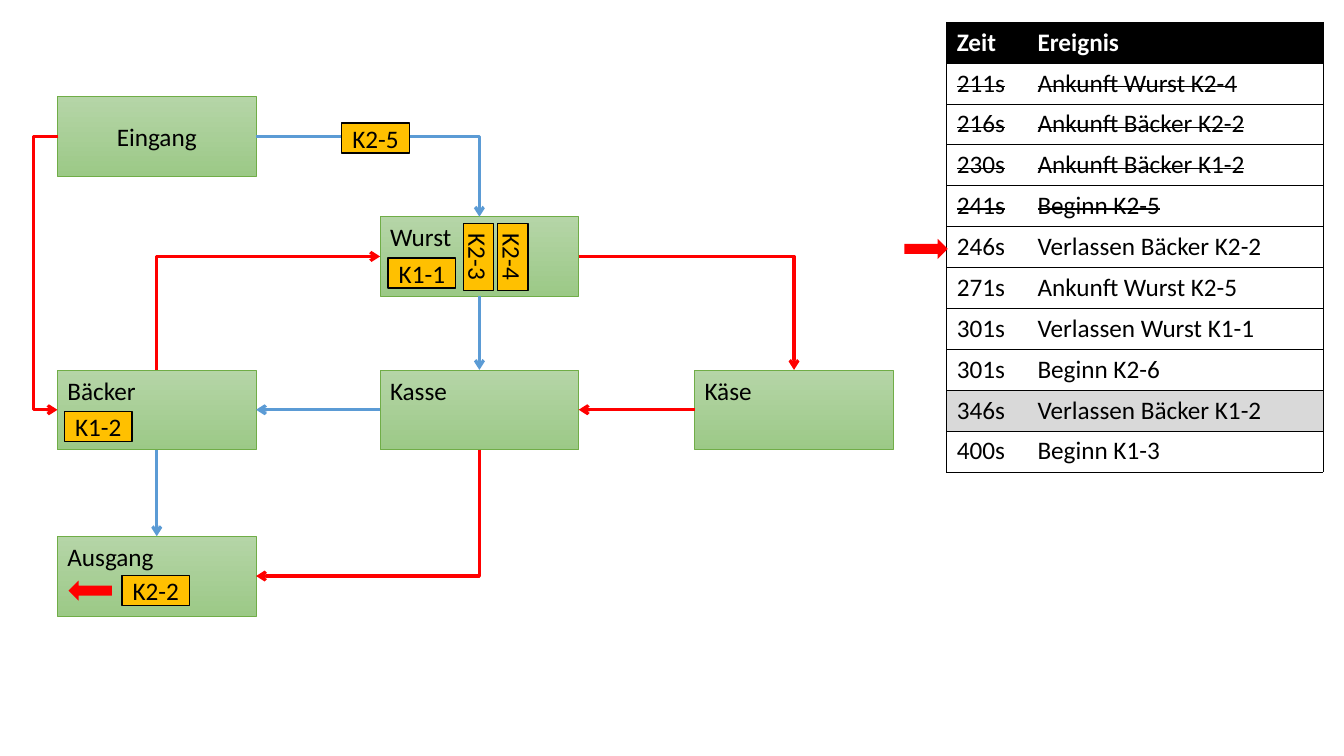
from dataclasses import dataclass

from lxml.etree import SubElement
from pptx import Presentation
from pptx.dml.color import RGBColor
from pptx.enum.shapes import MSO_CONNECTOR, MSO_SHAPE
from pptx.enum.text import MSO_ANCHOR, PP_ALIGN
from pptx.oxml import parse_xml
from pptx.oxml.ns import nsdecls, qn
from pptx.util import Inches, Pt

BLACK, WHITE, GREY = "000000", "FFFFFF", "D9D9D9"
RED, BLUE, AMBER, GREEN = "FF0000", "5B9BD5", "FFC000", "70AD47"
GREEN_FADE = ("B5D5A7", "9CC987")

COLUMNS = (0.57, 3.77, 6.89)
ROWS = (0.96, 2.15, 3.67, 5.32)
STATION_W, STATION_H = 1.97, 0.79
TAG_W, TAG_H = 0.67, 0.3
ARROW_W, ARROW_H = 0.43, 0.2
TABLE_LEFT, TABLE_TOP, ROW_H = 9.39, 0.22, 0.405
TABLE_COLUMNS = (0.8, 2.93)
TOP, LEFT, BOTTOM, RIGHT = range(4)  # connection sites of a rectangle


@dataclass(frozen=True)
class Station:
    """A stop in the shop, placed by column and row."""
    name: str
    column: int
    row: int
    centred: bool = False

    @property
    def corner(self) -> tuple[float, float]:
        """Top left corner in inches."""
        return COLUMNS[self.column], ROWS[self.row]

    def site(self, side: int) -> tuple[float, float]:
        """Middle of one side in inches."""
        x, y = self.corner
        across, down = ((0.5, 0), (0, 0.5), (0.5, 1), (1, 0.5))[side]
        return x + across * STATION_W, y + down * STATION_H


@dataclass(frozen=True)
class Route:
    """A way from one station side to another."""
    start: str
    start_side: int
    end: str
    end_side: int
    color: str
    bend: str = ""
    turn: int = 0


@dataclass(frozen=True)
class Customer:
    """A customer tag, offset from the corner of its station."""
    name: str
    station: str
    dx: float
    dy: float
    turn: int = 0


@dataclass(frozen=True)
class Event:
    """One row of the event list."""
    time: str
    text: str
    done: bool = False
    fill: str = WHITE


STATIONS = {s.name: s for s in (
    Station("Bäcker", 0, 2), Station("Eingang", 0, 0, True),
    Station("Wurst", 1, 1), Station("Käse", 2, 2),
    Station("Kasse", 1, 2), Station("Ausgang", 0, 3))}
ROUTES = (
    Route("Eingang", RIGHT, "Wurst", TOP, BLUE, "bentConnector2"),
    Route("Wurst", BOTTOM, "Kasse", TOP, BLUE),
    Route("Wurst", RIGHT, "Käse", TOP, RED, "bentConnector2"),
    Route("Käse", LEFT, "Kasse", RIGHT, RED),
    Route("Kasse", LEFT, "Bäcker", RIGHT, BLUE),
    Route("Bäcker", BOTTOM, "Ausgang", TOP, BLUE),
    Route("Bäcker", TOP, "Wurst", LEFT, RED, "bentConnector2", 90),
    Route("Eingang", LEFT, "Bäcker", LEFT, RED, "bentConnector3", 180),
    Route("Kasse", BOTTOM, "Ausgang", RIGHT, RED, "bentConnector2", 90))
CUSTOMERS = (
    Customer("K1-1", "Wurst", 0.08, 0.41), Customer("K2-2", "Ausgang", 0.64, 0.39),
    Customer("K2-3", "Wurst", 0.64, 0.25, 90), Customer("K2-4", "Wurst", 0.98, 0.25, 90),
    Customer("K1-2", "Bäcker", 0.07, 0.41), Customer("K2-5", "Eingang", 2.82, 0.26))
EVENTS = (
    Event("211s", "Ankunft Wurst K2-4", True), Event("216s", "Ankunft Bäcker K2-2", True),
    Event("230s", "Ankunft Bäcker K1-2", True), Event("241s", "Beginn K2-5", True),
    Event("246s", "Verlassen Bäcker K2-2"), Event("271s", "Ankunft Wurst K2-5"),
    Event("301s", "Verlassen Wurst K1-1"), Event("301s", "Beginn K2-6"),
    Event("346s", "Verlassen Bäcker K1-2", fill=GREY), Event("400s", "Beginn K1-3"))


def rgb(color: str) -> RGBColor:
    """Turn a hex string into a colour."""
    return RGBColor.from_string(color)


def write(frame, text: str, color: str = BLACK, bold: bool = False, struck: bool = False) -> None:
    """Add one run of text to a frame."""
    run = frame.paragraphs[0].add_run()
    run.text = text
    run.font.name, run.font.size, run.font.bold = "Calibri", Pt(18), bold
    run.font.color.rgb = rgb(color)
    if struck:
        run.font._element.set("strike", "sngStrike")


def add_block(slide, kind, x: float, y: float, w: float, h: float,
              fill: str, line: str = "", weight: float = 1):
    """Add a plain preset shape."""
    block = slide.shapes.add_shape(kind, Inches(x), Inches(y), Inches(w), Inches(h))
    block.shadow.inherit = False
    block.fill.solid()
    block.fill.fore_color.rgb = rgb(fill)
    if line:
        block.line.color.rgb, block.line.width = rgb(line), Pt(weight)
    else:
        block.line.fill.background()
    return block


def add_station(slide, station: Station):
    """Add a green station box with its name."""
    box = add_block(slide, MSO_SHAPE.RECTANGLE, *station.corner,
                    STATION_W, STATION_H, GREEN_FADE[0], GREEN, 0.5)
    box.fill.gradient()
    box.fill.gradient_angle = 270
    for stop, color in zip(box.fill.gradient_stops, GREEN_FADE):
        stop.color.rgb = rgb(color)
    frame = box.text_frame
    frame.vertical_anchor = MSO_ANCHOR.MIDDLE if station.centred else MSO_ANCHOR.TOP
    frame.paragraphs[0].alignment = PP_ALIGN.CENTER if station.centred else PP_ALIGN.LEFT
    write(frame, station.name)
    return box


def add_route(slide, route: Route, boxes: dict) -> None:
    """Add a glued arrow between two stations."""
    x1, y1 = STATIONS[route.start].site(route.start_side)
    x2, y2 = STATIONS[route.end].site(route.end_side)
    if route.bend == "bentConnector3":
        x1 += 0.01  # the detour is measured as a multiple of this width
    dx, dy = x2 - x1, y2 - y1
    across, down = {0: (dx, dy), 90: (dy, -dx), 180: (-dx, -dy)}[route.turn]
    mid_x, mid_y = (x1 + x2) / 2, (y1 + y2) / 2
    kind = MSO_CONNECTOR.ELBOW if route.bend else MSO_CONNECTOR.STRAIGHT
    arrow = slide.shapes.add_connector(kind, 0, 0, 0, 0)
    arrow.begin_connect(boxes[route.start], route.start_side)
    arrow.end_connect(boxes[route.end], route.end_side)
    arrow.begin_x, arrow.begin_y = Inches(mid_x - across / 2), Inches(mid_y - down / 2)
    arrow.end_x, arrow.end_y = Inches(mid_x + across / 2), Inches(mid_y + down / 2)
    arrow.line.color.rgb, arrow.line.width = rgb(route.color), Pt(2.25)
    properties = arrow._element.spPr
    SubElement(arrow.line._get_or_add_ln(), qn("a:tailEnd"), type="arrow")
    SubElement(properties, qn("a:effectLst"))
    if route.bend:
        properties.find(qn("a:xfrm")).set("rot", str(route.turn * 60000))
        shape = properties.find(qn("a:prstGeom"))
        shape.set("prst", route.bend)
        if route.bend == "bentConnector3":
            SubElement(shape.find(qn("a:avLst")), qn("a:gd"), name="adj1", fmla="val 2500000")


def add_customer(slide, customer: Customer) -> None:
    """Add an amber customer tag."""
    x, y = STATIONS[customer.station].corner
    tag = add_block(slide, MSO_SHAPE.RECTANGLE, x + customer.dx, y + customer.dy,
                    TAG_W, TAG_H, AMBER, BLACK)
    tag.rotation = customer.turn
    frame = tag.text_frame
    frame.word_wrap, frame.vertical_anchor = False, MSO_ANCHOR.MIDDLE
    frame.paragraphs[0].alignment = PP_ALIGN.CENTER
    write(frame, customer.name)


def fill_cell(cell, text: str, first: bool, fill: str, color: str, bold: bool, struck: bool) -> None:
    """Fill a cell and rule it everywhere but between the columns."""
    cell.fill.solid()
    cell.fill.fore_color.rgb = rgb(fill)
    inner = "lnR" if first else "lnL"
    for index, edge in enumerate(("lnL", "lnR", "lnT", "lnB")):
        paint = "<a:noFill/>" if edge == inner else (
            f'<a:solidFill><a:srgbClr val="{BLACK}"/></a:solidFill>')
        cell._tc.get_or_add_tcPr().insert(index, parse_xml(
            f'<a:{edge} {nsdecls("a")} w="6350">{paint}</a:{edge}>'))
    write(cell.text_frame, text, color, bold, struck)


def add_event_list(slide) -> None:
    """Add the table of events."""
    count = len(EVENTS) + 1
    table = slide.shapes.add_table(count, 2, Inches(TABLE_LEFT), Inches(TABLE_TOP),
                                   Inches(sum(TABLE_COLUMNS)), Inches(ROW_H * count)).table
    table.horz_banding = False
    for column, width in zip(table.columns, TABLE_COLUMNS):
        column.width = Inches(width)
    for index, event in enumerate((Event("Zeit", "Ereignis", fill=BLACK), *EVENTS)):
        header = index == 0
        for column, text in enumerate((event.time, event.text)):
            fill_cell(table.cell(index, column), text, column == 0, event.fill,
                      WHITE if header else BLACK, header, event.done)


presentation = Presentation()
presentation.slide_width, presentation.slide_height = Inches(13.33), Inches(7.5)
slide = presentation.slides.add_slide(presentation.slide_layouts[6])
add_event_list(slide)
add_block(slide, MSO_SHAPE.RIGHT_ARROW, 8.97, 2.37, ARROW_W, ARROW_H, RED)
boxes = {name: add_station(slide, station) for name, station in STATIONS.items()}
for route in ROUTES:
    add_route(slide, route, boxes)
for customer in CUSTOMERS:
    add_customer(slide, customer)
add_block(slide, MSO_SHAPE.LEFT_ARROW, 0.68, 5.76, ARROW_W, ARROW_H, RED)
presentation.save("out.pptx")
